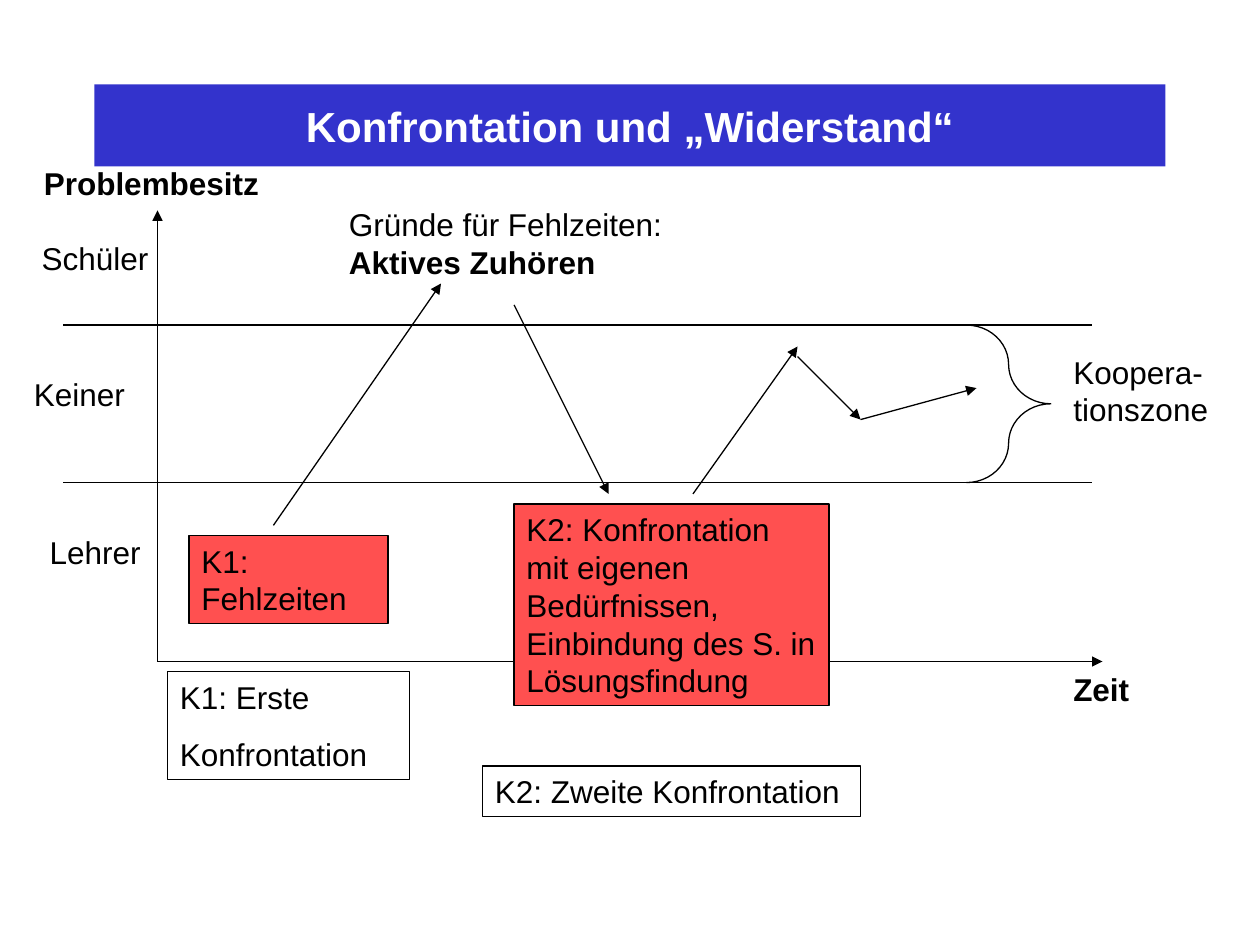
from lxml import etree
from pptx import Presentation
from pptx.dml.color import RGBColor
from pptx.enum.shapes import MSO_CONNECTOR, MSO_SHAPE
from pptx.enum.text import MSO_ANCHOR, PP_ALIGN
from pptx.oxml.ns import qn
from pptx.util import Inches, Pt

STRAIGHT = MSO_CONNECTOR.STRAIGHT
RECT, BRACE = MSO_SHAPE.RECTANGLE, MSO_SHAPE.RIGHT_BRACE
TOP, MIDDLE = MSO_ANCHOR.TOP, MSO_ANCHOR.MIDDLE
LEFT, CENTER = PP_ALIGN.LEFT, PP_ALIGN.CENTER

BLUE = RGBColor(0x33, 0x33, 0xCC)
RED = RGBColor(0xFF, 0x50, 0x50)
BLACK = RGBColor(0, 0, 0)
WHITE = RGBColor(0xFF, 0xFF, 0xFF)

LINE_WIDTH = Pt(0.75)


def write(sp, *paragraphs, size=18, color=BLACK, bold=False, align=LEFT, anchor=TOP):
    """Fill a shape with paragraphs, each a string or a list of (text, bold) runs."""
    tf = sp.text_frame
    tf.word_wrap = True
    tf.vertical_anchor = anchor
    for i, runs in enumerate(paragraphs):
        p = tf.add_paragraph() if i else tf.paragraphs[0]
        p.alignment = align
        if i:
            p.space_before = Pt(11.2)
        for text, strong in [(runs, bold)] if isinstance(runs, str) else runs:
            r = p.add_run()
            r.text = text
            r.font.name = "Arial"
            r.font.size = Pt(size)
            r.font.bold = strong
            r.font.color.rgb = color


def add_label(slide, x, y, w, h, *paragraphs, **fmt):
    """Add an unframed text box."""
    sp = slide.shapes.add_textbox(Inches(x), Inches(y), Inches(w), Inches(h))
    write(sp, *paragraphs, **fmt)


def add_shape(slide, x, y, w, h, kind=RECT, fill=None, line=BLACK):
    """Add a preset shape with an optional fill and outline."""
    sp = slide.shapes.add_shape(kind, Inches(x), Inches(y), Inches(w), Inches(h))
    sp.shadow.inherit = False
    if fill is None:
        sp.fill.background()
    else:
        sp.fill.solid()
        sp.fill.fore_color.rgb = fill
    if line is None:
        sp.line.fill.background()
    else:
        sp.line.color.rgb = line
        sp.line.width = LINE_WIDTH
    return sp


def add_line(slide, x1, y1, x2, y2, arrow=True):
    """Add a straight line, with an arrowhead at its end if wanted."""
    s = slide.shapes.add_connector(STRAIGHT, Inches(x1), Inches(y1), Inches(x2), Inches(y2))
    s.line.color.rgb = BLACK
    s.line.width = LINE_WIDTH
    if arrow:
        etree.SubElement(s.line._get_or_add_ln(), qn("a:tailEnd"), type="triangle")
    etree.SubElement(s._element.spPr, qn("a:effectLst"))


def add_title(slide, x, y, w, h):
    """Place the title bar."""
    sp = add_shape(slide, x, y, w, h, fill=BLUE, line=None)
    write(sp, "Konfrontation und „Widerstand“", size=24, color=WHITE,
          bold=True, align=CENTER, anchor=MIDDLE)


def add_axes(slide, x, y, w, h):
    """Place both axes and their names."""
    bottom = y + h
    add_line(slide, x, bottom, x, y)
    add_line(slide, x, bottom, x + w, bottom)
    add_label(slide, x - 1, y - 0.42, 2, 0.4, "Problembesitz", bold=True)
    add_label(slide, x + w - 0.33, bottom + 0.02, 1, 0.4, "Zeit", bold=True)


def add_zones(slide, x, y, w, h):
    """Place the owner labels, the zone borders and the cooperation brace."""
    borders = (y + 0.91, y + 2.16)
    for border in borders:
        add_line(slide, x - 0.75, border, x + w - 0.08, border, arrow=False)
    owners = (("Schüler", -1.08, 0.18), ("Keiner ", -1.17, 1.26), ("Lehrer", -1.08, 2.51))
    for owner, dx, dy in owners:
        add_label(slide, x + dx, y + dy, 1.17, 0.4, owner, align=CENTER)
    brace = add_shape(slide, x + 6.42, borders[0], 0.67, borders[1] - borders[0], kind=BRACE)
    brace.adjustments[0] = 0.47
    brace.adjustments[1] = 0.5
    add_label(slide, x + w - 0.33, y + 1.08, 1.33, 0.7, "Koopera-tionszone")


def add_course(slide, x, y, w, h):
    """Place the steps of the conversation and the arrows between them."""
    bottom = y + h
    add_label(slide, x + 1.42, y - 0.09, 2.92, 0.7,
              [("Gründe für Fehlzeiten: ", False), ("Aktives Zuhören", True)])
    boxes = (
        (0.25, -1, 1.58, 0.7, RED, ["K1: Fehlzeiten"]),
        (2.83, -1.25, 2.5, 1.6, RED,
         ["K2: Konfrontation mit eigenen Bedürfnissen, Einbindung des S. in Lösungsfindung"]),
        (0.08, 0.08, 1.92, 0.86, None, ["K1: Erste", "Konfrontation"]),
        (2.58, 0.83, 3, 0.4, None, ["K2: Zweite Konfrontation"]),
    )
    for dx, dy, bw, bh, fill, paragraphs in boxes:
        write(add_shape(slide, x + dx, bottom + dy, bw, bh, fill=fill), *paragraphs)
    arrows = (
        (0.92, 2.5, 2.25, 0.58),
        (2.83, 0.75, 3.58, 2.25),
        (4.25, 2.25, 5.08, 1.08),
        (5.08, 1.16, 5.58, 1.66),
        (5.58, 1.66, 6.5, 1.41),
    )
    for x1, y1, x2, y2 in arrows:
        add_line(slide, x + x1, y + y1, x + x2, y + y2)


def main():
    """Build and save the slide."""
    prs = Presentation()
    prs.slide_width, prs.slide_height = Inches(10), Inches(7.5)
    slide = prs.slides.add_slide(prs.slide_layouts[6])
    add_title(slide, 0.75, 0.67, 8.5, 0.65)
    diagram = (1.25, 1.67, 7.5, 3.58)
    for add_region in (add_axes, add_zones, add_course):
        add_region(slide, *diagram)
    prs.save("out.pptx")


if __name__ == "__main__":
    main()
